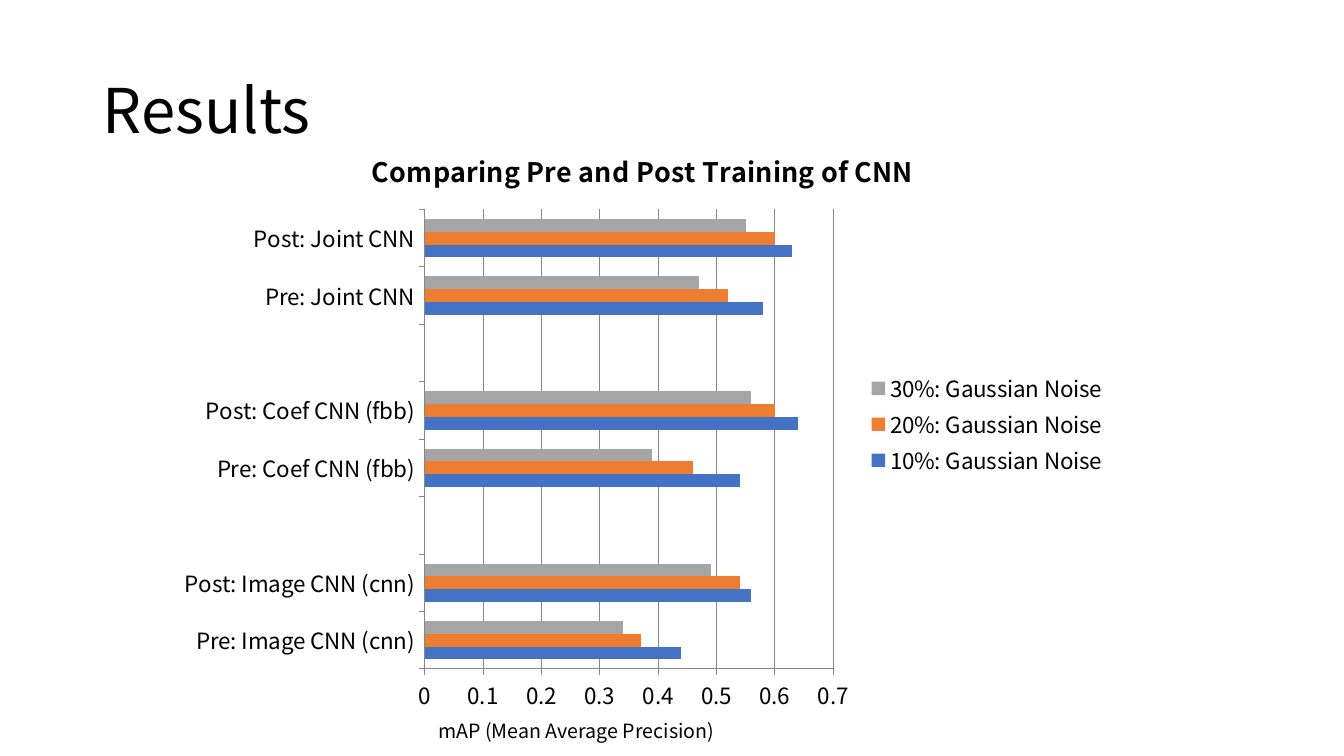
from lxml import etree
from pptx import Presentation
from pptx.chart.data import CategoryChartData
from pptx.dml.color import RGBColor
from pptx.enum.chart import XL_CHART_TYPE, XL_LEGEND_POSITION, XL_TICK_MARK
from pptx.enum.text import MSO_ANCHOR, PP_ALIGN
from pptx.util import Inches, Pt

BAR = XL_CHART_TYPE.BAR_CLUSTERED
RIGHT = XL_LEGEND_POSITION.RIGHT
OUT, NONE = XL_TICK_MARK.OUTSIDE, XL_TICK_MARK.NONE
LEFT, MIDDLE = PP_ALIGN.LEFT, MSO_ANCHOR.MIDDLE

FACE = "Noto Sans CJK SC"
BLACK = RGBColor(0x00, 0x00, 0x00)
GREY = RGBColor(0x86, 0x86, 0x86)
BLUE = RGBColor(0x44, 0x72, 0xC4)
ORANGE = RGBColor(0xED, 0x7D, 0x31)
SILVER = RGBColor(0xA5, 0xA5, 0xA5)

TITLE = "Results"
HEAD = "Comparing Pre and Post Training of CNN"
UNIT = "mAP (Mean Average Precision)"
CATS = ["Pre: Image CNN (cnn)", "Post: Image CNN (cnn)", "",
        "Pre: Coef CNN (fbb)", "Post: Coef CNN (fbb)", "",
        "Pre: Joint CNN", "Post: Joint CNN"]
SERIES = [
    ("10%: Gaussian Noise", BLUE, [0.44, 0.56, None, 0.54, 0.64, None, 0.58, 0.63]),
    ("20%: Gaussian Noise", ORANGE, [0.37, 0.54, None, 0.46, 0.6, None, 0.52, 0.6]),
    ("30%: Gaussian Noise", SILVER, [0.34, 0.49, None, 0.39, 0.56, None, 0.47, 0.55]),
]
PLOT = {"x": 0.27, "y": 0.14, "w": 0.43, "h": 0.77}  # shares of the chart frame


def style(font, size, bold=False):
    look = {"name": FACE, "size": Pt(size), "bold": bold}
    for key, value in look.items():
        setattr(font, key, value)
    font.color.rgb = BLACK


def place(shape, *box):
    for key, value in zip(("left", "top", "width", "height"), box):
        setattr(shape, key, Inches(value))


def fix_plot(chart):
    """Pin the inner plot area to the shares in PLOT."""
    area = chart.plots[0]._element.getparent()
    ns = etree.QName(area).namespace
    for old in area.findall(f"{{{ns}}}layout"):
        area.remove(old)
    layout = area.makeelement(f"{{{ns}}}layout")
    area.insert(0, layout)
    manual = etree.SubElement(layout, f"{{{ns}}}manualLayout")
    rules = {"layoutTarget": "inner", "xMode": "edge", "yMode": "edge", **PLOT}
    for tag, value in rules.items():
        etree.SubElement(manual, f"{{{ns}}}{tag}").set("val", str(value))


def add_results(slide):
    data = CategoryChartData()
    data.categories = CATS
    for name, _, values in SERIES:
        data.add_series(name, values)
    box = [Inches(n) for n in (1.67, 1.25, 9.42, 5.92)]
    chart = slide.shapes.add_chart(BAR, *box, data).chart
    style(chart.font, 16)

    chart.has_title = True
    chart.chart_title.include_in_layout = False
    frame = chart.chart_title.text_frame
    frame.text = HEAD
    style(frame.paragraphs[0].runs[0].font, 19.2, True)

    chart.has_legend = True
    chart.legend.position = RIGHT
    chart.legend.include_in_layout = False

    plot = chart.plots[0]
    plot.gap_width = 150
    plot.vary_by_categories = False
    for bar, (_, color, _) in zip(plot.series, SERIES):
        bar.format.fill.solid()
        bar.format.fill.fore_color.rgb = color

    for axis in (chart.category_axis, chart.value_axis):
        axis.major_tick_mark, axis.minor_tick_mark = OUT, NONE
        axis.format.line.color.rgb = GREY
    scale = chart.value_axis
    limits = {"minimum_scale": 0, "maximum_scale": 0.7, "major_unit": 0.1}
    for key, value in limits.items():
        setattr(scale, key, value)
    scale.has_major_gridlines = True
    scale.major_gridlines.format.line.color.rgb = GREY
    scale.tick_labels.number_format = "General"
    scale.tick_labels.number_format_is_linked = False
    fix_plot(chart)


def main():
    deck = Presentation()
    deck.slide_width, deck.slide_height = Inches(13.33), Inches(7.5)
    slide = deck.slides.add_slide(deck.slide_layouts[5])

    title = slide.shapes.title
    place(title, 0.92, 0.4, 11.5, 1.45)
    title.text_frame.text = TITLE
    title.text_frame.vertical_anchor = MIDDLE
    line = title.text_frame.paragraphs[0]
    line.alignment, line.line_spacing = LEFT, 0.9
    style(line.runs[0].font, 44)

    add_results(slide)

    box = [Inches(n) for n in (4.25, 7.08, 3.33, 0.34)]
    label = slide.shapes.add_textbox(*box).text_frame
    label.word_wrap = True
    label.text = UNIT
    style(label.paragraphs[0].runs[0].font, 14)

    deck.save("out.pptx")


if __name__ == "__main__":
    main()
